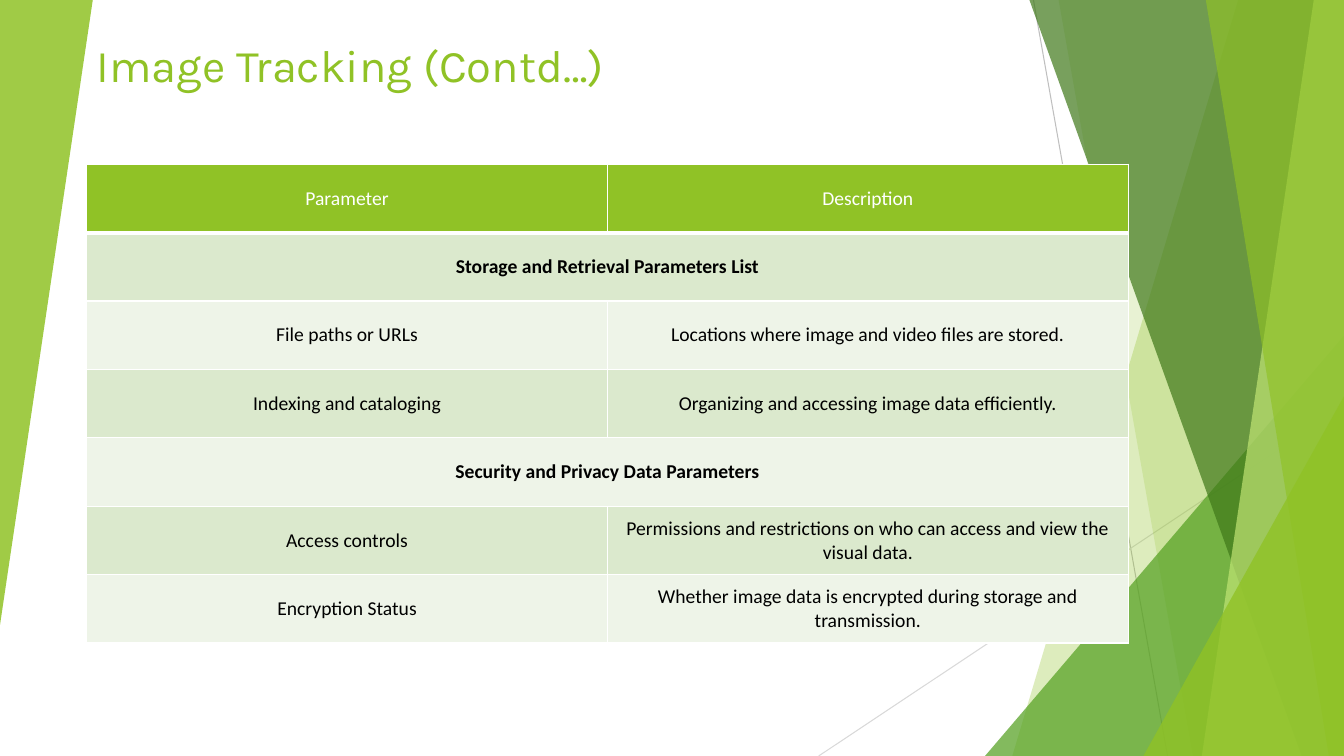
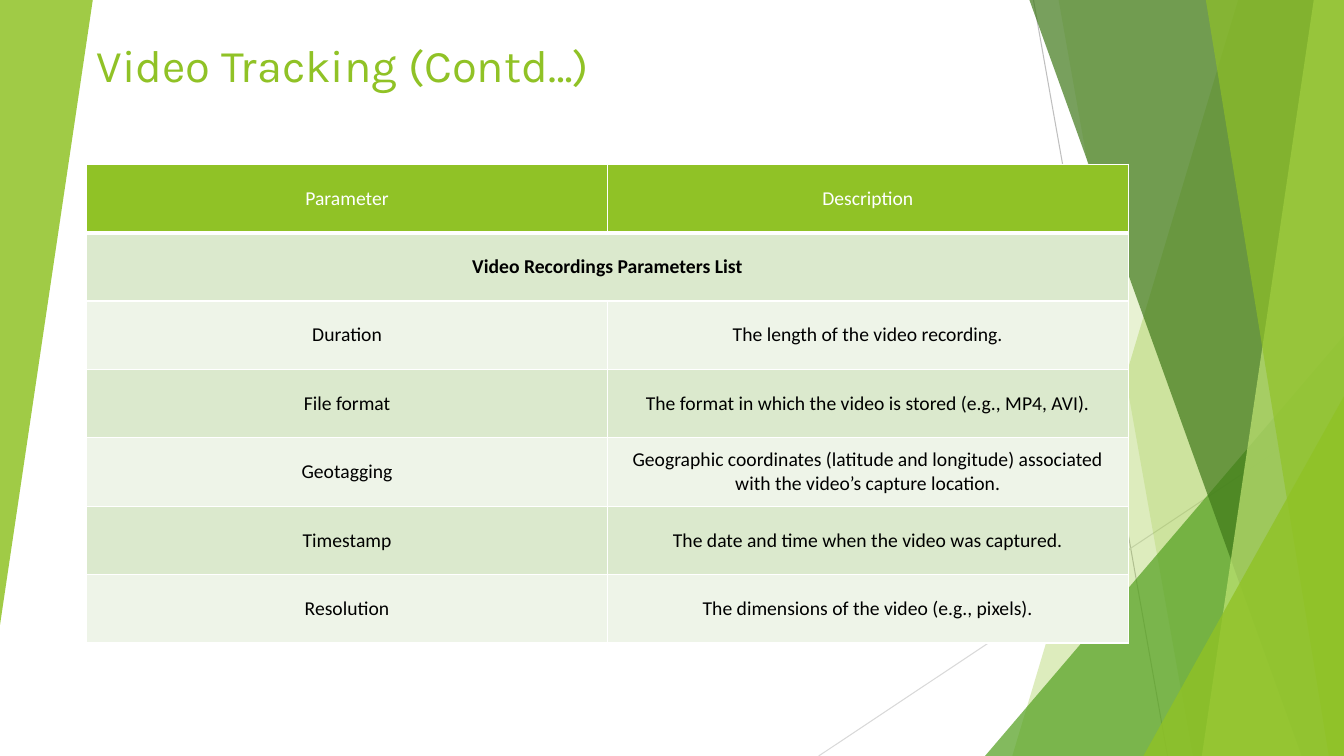
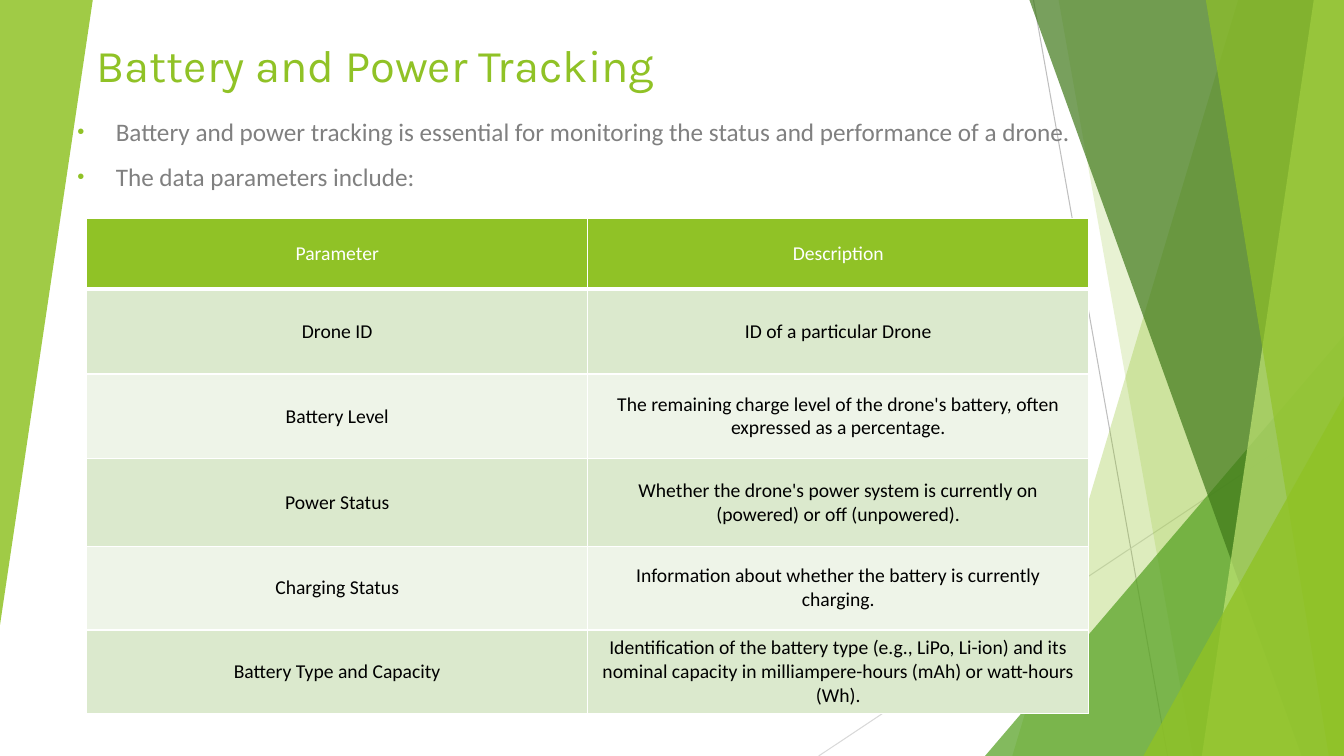
from lxml.etree import SubElement
from pptx import Presentation
from pptx.dml.color import RGBColor
from pptx.enum.shapes import MSO_CONNECTOR, MSO_SHAPE
from pptx.enum.text import MSO_ANCHOR, PP_ALIGN
from pptx.oxml.ns import qn
from pptx.util import Inches, Pt

W, H = 13.33, 7.5
LEFT = 0.86
GREEN, WHITE, BLACK, GREY = "90C226", "FFFFFF", "000000", "808080"
ROW_FILLS = ("DBE9CD", "EEF4E8")
HEADER = ("Parameter", "Description")

RAYS = [
    ((10.25, 0), (11.58, H), "BFBFBF"),
    ((W, 4.03), (8.12, H), "D9D9D9"),
]
FACETS = [
    ("band", (12.28, 10.04), GREEN, 30),
    ("band", (10.5, 11.83), GREEN, 20),
    ("corner", (9.77, 3.33), "54A021", 72),
    ("band", (10.21, 12.91), "3F7819", 70),
    ("band", (13.03, 11.92), "C0E474", 70),
    ("band", (11.96, 13.18), GREEN, 65),
    ("corner", (11.34, 3.93), GREEN, 80),
]
LEFT_WEDGE = (0.92, 6.2)

SLIDES = [
    {
        "title": "Image Tracking (Contd…)",
        "top": 1.63, "width": 10.33, "heights": [4.75 / 7] * 7,
        "rows": [
            ("Storage and Retrieval Parameters List",),
            ("File paths or URLs", "Locations where image and video files are stored."),
            ("Indexing and cataloging", "Organizing and accessing image data efficiently."),
            ("Security and Privacy Data Parameters",),
            ("Access controls", "Permissions and restrictions on who can access and view the visual data."),
            ("Encryption Status", "Whether image data is encrypted during storage and transmission."),
        ],
    },
    {
        "title": "Video Tracking (Contd…)",
        "top": 1.63, "width": 10.33, "heights": [4.75 / 7] * 7,
        "rows": [
            ("Video Recordings Parameters List",),
            ("Duration", "The length of the video recording."),
            ("File format", "The format in which the video is stored (e.g., MP4, AVI)."),
            ("Geotagging", "Geographic coordinates (latitude and longitude) associated with the video’s capture location."),
            ("Timestamp", "The date and time when the video was captured."),
            ("Resolution", "The dimensions of the video (e.g., pixels)."),
        ],
    },
    {
        "title": "Battery and Power Tracking",
        "bullets": [
            "Battery and power tracking is essential for monitoring the status and performance of a drone.",
            "The data parameters include:",
        ],
        "top": 2.17, "width": 9.94, "heights": [0.7, 0.84, 0.84, 0.87, 0.83, 0.83],
        "rows": [
            ("Drone ID", "ID of a particular Drone"),
            ("Battery Level", "The remaining charge level of the drone's battery, often expressed as a percentage."),
            ("Power Status", "Whether the drone's power system is currently on (powered) or off (unpowered)."),
            ("Charging Status", "Information about whether the battery is currently charging."),
            ("Battery Type and Capacity", "Identification of the battery type (e.g., LiPo, Li-ion) and its nominal capacity in milliampere-hours (mAh) or watt-hours (Wh)."),
        ],
    },
]


def rgb(color):
    return RGBColor.from_string(color)


def add_run(p, text, size, color, font="Calibri", bold=False):
    r = p.add_run()
    r.text = text
    r.font.size, r.font.name, r.font.bold = Pt(size), font, bold
    r.font.color.rgb = rgb(color)


def paint(sp, color, opacity):
    sp.shadow.inherit = False
    sp.line.fill.background()
    sp.fill.solid()
    sp.fill.fore_color.rgb = rgb(color)
    clr = sp.element.spPr.find(qn("a:solidFill")).find(qn("a:srgbClr"))
    SubElement(clr, qn("a:alpha"), val=str(opacity * 1000))


def add_triangle(s, x, y, w, h):
    sp = s.shapes.add_shape(MSO_SHAPE.ISOSCELES_TRIANGLE, *map(Inches, (x, y, w, h)))
    sp.adjustments[0] = 1
    return sp


def add_band(s, top_x, bottom_x):
    points = [(Inches(x), Inches(y)) for x, y in
              ((top_x, 0), (W, 0), (W, H), (bottom_x, H))]
    builder = s.shapes.build_freeform(*points[0])
    builder.add_line_segments(points[1:], close=True)
    return builder.convert_to_shape()


def add_backdrop(s):
    for start, end, color in RAYS:
        ray = s.shapes.add_connector(MSO_CONNECTOR.STRAIGHT, *map(Inches, start + end))
        ray.line.color.rgb = rgb(color)
        ray.line.width = Pt(0.75)
        SubElement(ray.element.spPr, qn("a:effectLst"))
    for kind, (a, b), color, opacity in FACETS:
        sp = add_band(s, a, b) if kind == "band" else add_triangle(s, a, b, W - a, H - b)
        paint(sp, color, opacity)
    wedge = add_triangle(s, 0, 0, *LEFT_WEDGE)
    wedge.rotation = 180
    paint(wedge, GREEN, 85)


def add_text_frame(s, x, y, w, h, anchor):
    tf = s.shapes.add_textbox(*map(Inches, (x, y, w, h))).text_frame
    tf.word_wrap = True
    tf.vertical_anchor = anchor
    return tf


def add_bullets(s, items):
    tf = add_text_frame(s, 0.67, 1.11, W - 0.67, 1, MSO_ANCHOR.TOP)
    for i, text in enumerate(items):
        p = tf.paragraphs[0] if i == 0 else tf.add_paragraph()
        p.space_before = Pt(10)
        pPr = p._p.get_or_add_pPr()
        pPr.set("marL", str(Inches(0.38)))
        pPr.set("indent", str(-Inches(0.38)))
        SubElement(SubElement(pPr, qn("a:buClr")), qn("a:srgbClr"), val=GREEN)
        SubElement(pPr, qn("a:buSzPct"), val="80000")
        SubElement(pPr, qn("a:buFont"), typeface="Arial")
        SubElement(pPr, qn("a:buChar"), char="•")
        add_run(p, text, 18, GREY)


def style_cell(cell, row):
    tcPr = cell._tc.get_or_add_tcPr()
    for side in "LRTB":
        thick = (row, side) in ((0, "B"), (1, "T"))
        ln = SubElement(tcPr, qn(f"a:ln{side}"), w=str(Pt(3 if thick else 1)))
        SubElement(SubElement(ln, qn("a:solidFill")), qn("a:srgbClr"), val=WHITE)
    cell.fill.solid()
    cell.fill.fore_color.rgb = rgb(ROW_FILLS[(row - 1) % 2] if row else GREEN)
    cell.vertical_anchor = MSO_ANCHOR.MIDDLE


def add_parameters(s, top, width, heights, rows):
    rows = [HEADER] + rows
    table = s.shapes.add_table(len(rows), 2, *map(Inches, (LEFT, top, width, sum(heights)))).table
    for i, (texts, height) in enumerate(zip(rows, heights)):
        table.rows[i].height = Inches(height)
        section = len(texts) == 1
        if section:
            table.cell(i, 0).merge(table.cell(i, 1))
        for j in range(2):
            style_cell(table.cell(i, j), i)
        for j, text in enumerate(texts):
            p = table.cell(i, j).text_frame.paragraphs[0]
            p.alignment = PP_ALIGN.CENTER
            add_run(p, text, 14, BLACK if i else WHITE, bold=section)


def main():
    prs = Presentation()
    prs.slide_width, prs.slide_height = Inches(W), Inches(H)
    for page in SLIDES:
        s = prs.slides.add_slide(prs.slide_layouts[6])
        add_backdrop(s)
        tf = add_text_frame(s, LEFT, 0.3, 9.06, 0.66, MSO_ANCHOR.BOTTOM)
        add_run(tf.paragraphs[0], page["title"], 32.4, GREEN, "Karla")
        if "bullets" in page:
            add_bullets(s, page["bullets"])
        add_parameters(s, page["top"], page["width"], page["heights"], page["rows"])
    prs.save("out.pptx")


if __name__ == "__main__":
    main()
